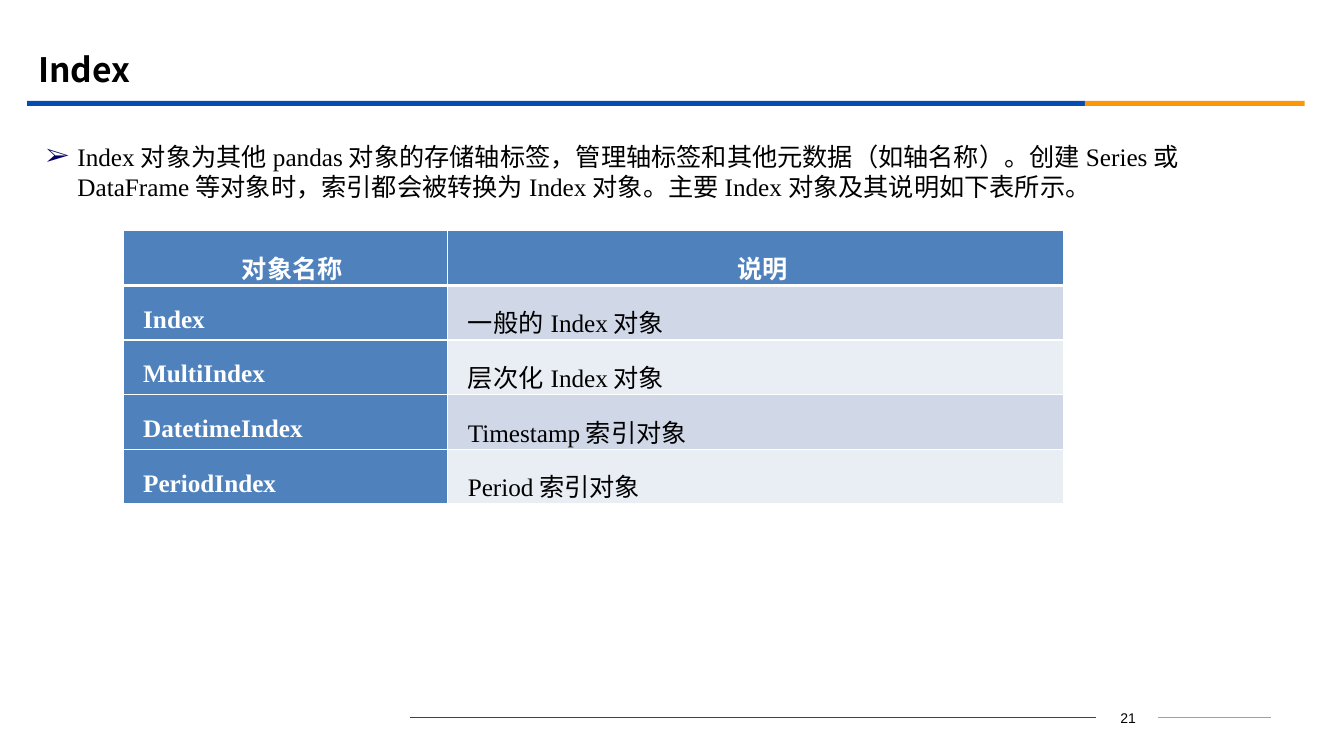
from lxml.etree import SubElement
from pptx import Presentation
from pptx.dml.color import RGBColor
from pptx.enum.shapes import MSO_CONNECTOR as Connector, MSO_SHAPE as Shape
from pptx.enum.text import MSO_ANCHOR as Anchor, PP_ALIGN as Align
from pptx.oxml.ns import qn
from pptx.util import Inches, Pt

COLORS = {
    "black": "000000", "white": "FFFFFF", "blue": "064BB2", "orange": "FB9708",
    "footer_orange": "F19500", "bullet": "000066", "header": "4F81BD",
    "odd_row": "D0D8E8", "even_row": "E9EDF4",
}
ROWS = [
    ("对象名称", "说明"),
    ("Index", "一般的Index对象"),
    ("MultiIndex", "层次化Index对象"),
    ("DatetimeIndex", "Timestamp索引对象"),
    ("PeriodIndex", "Period索引对象"),
]
SUMMARY = ("Index对象为其他pandas对象的存储轴标签，管理轴标签和其他元数据（如轴名称）。"
           "创建Series或DataFrame等对象时，索引都会被转换为Index对象。"
           "主要Index对象及其说明如下表所示。")


class SlideBuilder:
    """Hold the slide and its style, and add each kind of element."""

    def __init__(self, slide):
        self.slide = slide
        self.font = "Times New Roman"

    def color(self, name):
        return RGBColor.from_string(COLORS[name])

    def style(self, paragraph, size, color="black", bold=False, font=None):
        paragraph.font.name = font or self.font
        paragraph.font.size = Pt(size)
        paragraph.font.bold = bold
        paragraph.font.color.rgb = self.color(color)

    def indent(self, paragraph, margin, first_line):
        properties = paragraph._p.get_or_add_pPr()
        properties.set("marL", str(Inches(margin)))
        properties.set("indent", str(Inches(first_line)))
        return properties

    def text(self, box, text, size, align=Align.LEFT, **style):
        frame = self.slide.shapes.add_textbox(*map(Inches, box)).text_frame
        frame.word_wrap = True
        frame.vertical_anchor = Anchor.MIDDLE
        paragraph = frame.paragraphs[0]
        paragraph.text = text
        paragraph.alignment = align
        self.style(paragraph, size, **style)
        return paragraph

    def bullet_text(self, box, text, size):
        paragraph = self.text(box, text, size)
        properties = self.indent(paragraph, 0.31, -0.31)
        spacing = SubElement(properties, qn("a:spcBef"))
        SubElement(spacing, qn("a:spcPct"), val="20000")
        bullet_color = SubElement(properties, qn("a:buClr"))
        SubElement(bullet_color, qn("a:srgbClr"), val=COLORS["bullet"])
        SubElement(properties, qn("a:buFont"), typeface=self.font)
        SubElement(properties, qn("a:buChar"), char="➢")
        properties.append(properties.find(qn("a:defRPr")))

    def bar(self, box, color):
        shape = self.slide.shapes.add_shape(Shape.RECTANGLE, *map(Inches, box))
        shape.shadow.inherit = False
        shape.fill.solid()
        shape.fill.fore_color.rgb = self.color(color)
        shape.line.fill.background()

    def line(self, left, right, y, color):
        connector = self.slide.shapes.add_connector(
            Connector.STRAIGHT, *map(Inches, (left, y, right, y)))
        connector.line.color.rgb = self.color(color)
        connector.line.width = Pt(0.75)
        properties = connector._element.spPr
        properties.set("bwMode", "gray")
        SubElement(properties, qn("a:effectLst"))

    def borders(self, cell, bottom):
        properties = cell._tc.get_or_add_tcPr()
        widths = {"a:lnL": 1, "a:lnR": 1, "a:lnT": 1, "a:lnB": bottom}
        for position, (tag, width) in enumerate(widths.items()):
            border = properties.makeelement(qn(tag), {"w": str(Pt(width))})
            fill = SubElement(border, qn("a:solidFill"))
            SubElement(fill, qn("a:srgbClr"), val=COLORS["white"])
            properties.insert(position, border)

    def cell(self, cell, text, fill, heading, column_heading):
        cell.fill.solid()
        cell.fill.fore_color.rgb = self.color(fill)
        cell.vertical_anchor = Anchor.MIDDLE
        cell.margin_left = cell.margin_right = Inches(0.06)
        cell.margin_top = cell.margin_bottom = 0
        paragraph = cell.text_frame.paragraphs[0]
        paragraph.text = text
        paragraph.alignment = Align.CENTER if column_heading else Align.LEFT
        paragraph.line_spacing = 1.5
        self.indent(paragraph, 0, 0.14)
        self.style(paragraph, 18, "white" if heading else "black", heading)
        self.borders(cell, 3 if column_heading else 1)

    def table(self, box, widths, rows):
        table = self.slide.shapes.add_table(
            len(rows), len(widths), *map(Inches, box)).table
        for column, width in zip(table.columns, widths):
            column.width = Inches(width)
        for row_index, row in enumerate(rows):
            for column_index, text in enumerate(row):
                heading = row_index == 0 or column_index == 0
                band = "odd_row" if row_index % 2 else "even_row"
                self.cell(table.cell(row_index, column_index), text,
                          "header" if heading else band, heading, row_index == 0)


presentation = Presentation()
presentation.slide_width = Inches(13.33)
presentation.slide_height = Inches(7.5)
builder = SlideBuilder(presentation.slides.add_slide(presentation.slide_layouts[6]))

builder.text((10.88, 7, 0.62, 0.25), "21", 10, Align.CENTER, font="Arial")
builder.line(11.49, 12.61, 7.12, "footer_orange")
builder.line(4.07, 10.87, 7.12, "blue")
builder.bar((0.27, 1, 10.49, 0.05), "blue")
builder.bar((10.76, 1, 2.18, 0.05), "orange")
builder.text((0.28, 0.39, 12, 0.58), "Index", 24, bold=True, font="Noto Sans CJK SC")
builder.bullet_text((0.36, 1.38, 12.58, 0.64), SUMMARY, 18)
builder.table((1.22, 2.29, 9.33, 2.71), (3.22, 6.11), ROWS)
presentation.save("out.pptx")
